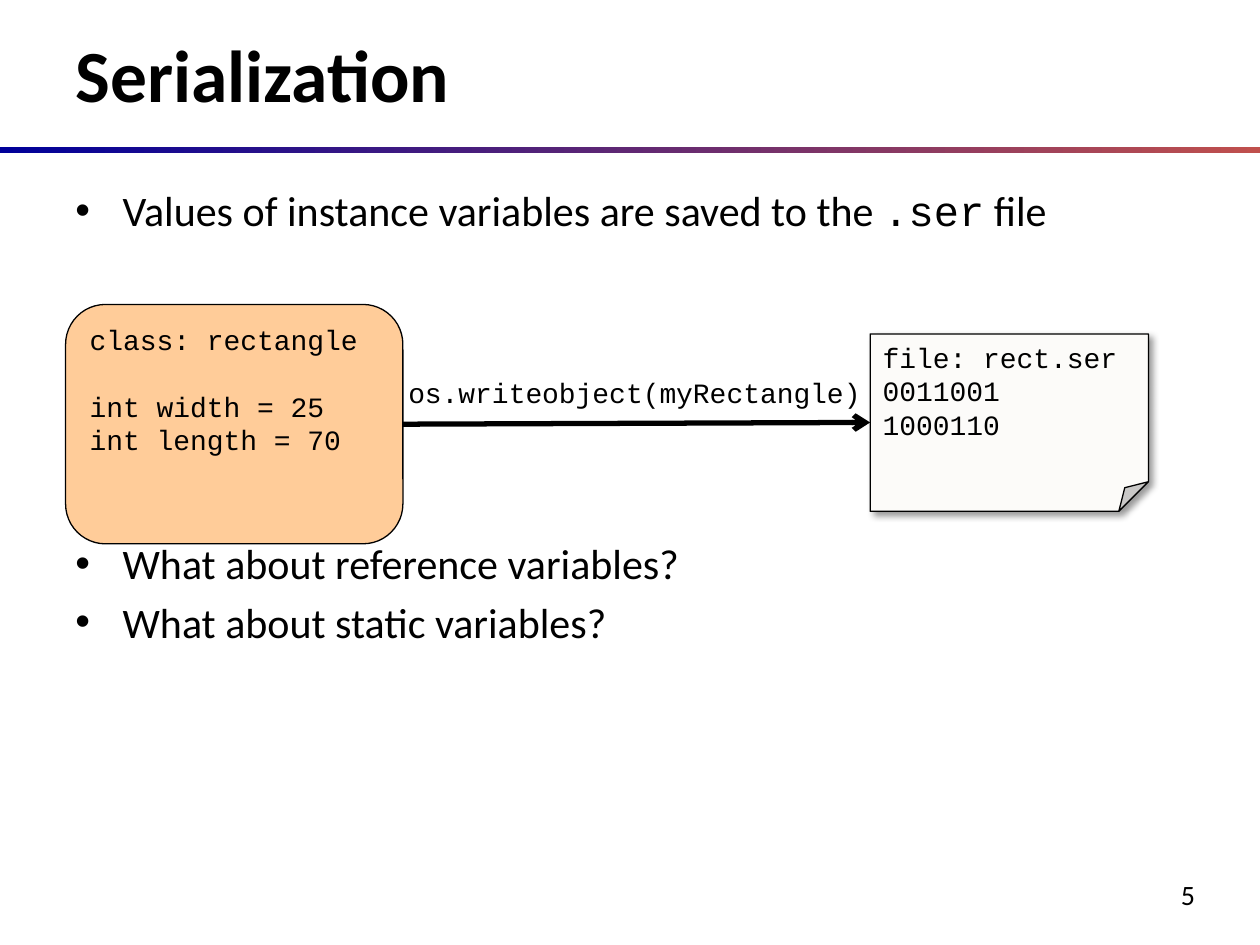
from lxml import etree
from pptx import Presentation
from pptx.dml.color import RGBColor
from pptx.enum.shapes import MSO_CONNECTOR as Connector, MSO_SHAPE as Shape
from pptx.enum.text import MSO_ANCHOR as Anchor, PP_ALIGN as Align
from pptx.oxml import parse_xml
from pptx.oxml.ns import nsdecls, qn
from pptx.util import Pt

BLACK = RGBColor(0x00, 0x00, 0x00)
NAVY = RGBColor(0x00, 0x00, 0x99)
BRICK = RGBColor(0xC0, 0x50, 0x4D)
PEACH = RGBColor(0xFF, 0xCC, 0x99)
PAPER = RGBColor(0xFC, 0xFB, 0xF9)
SANS, MONO = "Calibri", "Courier New"
CODE_SIZE, BODY_SIZE = 16, 24
BLANK_CODE_LINE = 19
DIAGRAM_GAP = 168


class SlidePainter:
    """Holds the text style and the slide being drawn; lengths are points."""

    def __init__(self, page, color=BLACK):
        self.page = page
        self.color = color

    def style(self, para, font, size, bold=False):
        for span in para.runs:
            span.font.name = font
            span.font.size = Pt(size)
            span.font.bold = bold
            span.font.color.rgb = self.color

    def text(self, text, left, top, width, height, font=SANS, size=CODE_SIZE,
             bold=False, align=Align.LEFT, anchor=Anchor.TOP):
        box = self.page.shapes.add_textbox(Pt(left), Pt(top), Pt(width), Pt(height))
        frame = box.text_frame
        frame.word_wrap = True
        frame.vertical_anchor = anchor
        frame.text = text
        for para in frame.paragraphs:
            para.alignment = align
            self.style(para, font, size, bold)
        return box

    def bullets(self, items, left, top, width, height, indent=27):
        """Each item is its lead-in gap and its (text, font) spans."""
        box = self.text("", left, top, width, height)
        frame = box.text_frame
        for index, (gap, spans) in enumerate(items):
            para = frame.add_paragraph() if index else frame.paragraphs[0]
            para.space_before = Pt(BODY_SIZE * 0.2 + gap)
            for text, font in spans:
                span = para.add_run()
                span.text = text
                span.font.name = font
                span.font.size = Pt(BODY_SIZE)
                span.font.color.rgb = self.color
            props = para._p.get_or_add_pPr()
            props.set("marL", str(Pt(indent)))
            props.set("indent", str(-Pt(indent)))
            etree.SubElement(props, qn("a:buFont")).set("typeface", "Arial")
            etree.SubElement(props, qn("a:buChar")).set("char", "•")

    def gradient_bar(self, left, top, width, height, start, end):
        bar = self.page.shapes.add_shape(
            Shape.RECTANGLE, Pt(left), Pt(top), Pt(width), Pt(height))
        bar.shadow.inherit = False
        bar.line.fill.background()
        bar.fill.gradient()
        bar.fill.gradient_angle = 0
        for stop, color, position in zip(bar.fill.gradient_stops, (start, end), (0, 1)):
            stop.color.rgb = color
            stop.position = position

    def code_shape(self, kind, lines, left, top, width, height, fill):
        """Draw a filled outline with code; a line is its lead-in gap and text."""
        shape = self.page.shapes.add_shape(
            kind, Pt(left), Pt(top), Pt(width), Pt(height))
        shape.shadow.inherit = False
        shape.fill.solid()
        shape.fill.fore_color.rgb = fill
        shape.line.color.rgb = BLACK
        shape.line.width = Pt(0.75)
        frame = shape.text_frame
        frame.word_wrap = True
        frame.vertical_anchor = Anchor.TOP
        frame.text = "\n".join(text for _, text in lines)
        for para, (gap, _) in zip(frame.paragraphs, lines):
            para.alignment = Align.LEFT
            para.space_before = Pt(gap)
            self.style(para, MONO, CODE_SIZE)
        return shape

    def drop_shadow(self, shape, blur=4, distance=3, angle=45, opacity=40):
        effects = shape._element.spPr.find(qn("a:effectLst"))
        effects.append(parse_xml(
            f'<a:outerShdw {nsdecls("a")} blurRad="{Pt(blur)}" dist="{Pt(distance)}" '
            f'dir="{angle * 60000}" algn="tl" rotWithShape="0"><a:srgbClr val="{BLACK}">'
            f'<a:alpha val="{opacity * 1000}"/></a:srgbClr></a:outerShdw>'))

    def arrow(self, x1, y1, x2, y2, width=3):
        arrow = self.page.shapes.add_connector(
            Connector.STRAIGHT, Pt(x1), Pt(y1), Pt(x2), Pt(y2))
        arrow.line.color.rgb = BLACK
        arrow.line.width = Pt(width)
        etree.SubElement(arrow.line._get_or_add_ln(), qn("a:tailEnd")).set("type", "arrow")
        etree.SubElement(arrow._element.spPr, qn("a:effectLst"))


def main():
    deck = Presentation()
    deck.slide_width, deck.slide_height = Pt(720), Pt(540)
    painter = SlidePainter(deck.slides.add_slide(deck.slide_layouts[6]))

    painter.gradient_bar(0, 84, 720, 3.6, NAVY, BRICK)
    painter.text("5", 618, 498, 72, 26.6, align=Align.RIGHT)
    painter.text("Serialization", 36, 12, 654, 60, size=42, bold=True,
                 anchor=Anchor.MIDDLE)
    painter.bullets([
        (0, [("Values of instance variables are saved to the ", SANS),
             (".ser", MONO), (" file", SANS)]),
        (DIAGRAM_GAP, [("What about reference variables?", SANS)]),
        (0, [("What about static variables?", SANS)]),
    ], 36, 102, 648, 390)

    painter.code_shape(Shape.ROUNDED_RECTANGLE, [
        (0, "class: rectangle"),
        (BLANK_CODE_LINE, "int width = 25"),
        (0, "int length = 70"),
    ], 37.5, 174, 192.75, 136.8, PEACH)
    file_note = painter.code_shape(Shape.FOLDED_CORNER, [
        (0, "file: rect.ser"), (0, "0011001"), (0, "1000110"),
    ], 497.25, 190.8, 159, 101.4, PAPER)
    painter.drop_shadow(file_note)
    painter.arrow(230.25, 242.4, 497.25, 241.4)
    painter.text("os.writeobject(myRectangle)", 226.2, 211, 277.2, 26.6, font=MONO)

    deck.save("out.pptx")


if __name__ == "__main__":
    main()
